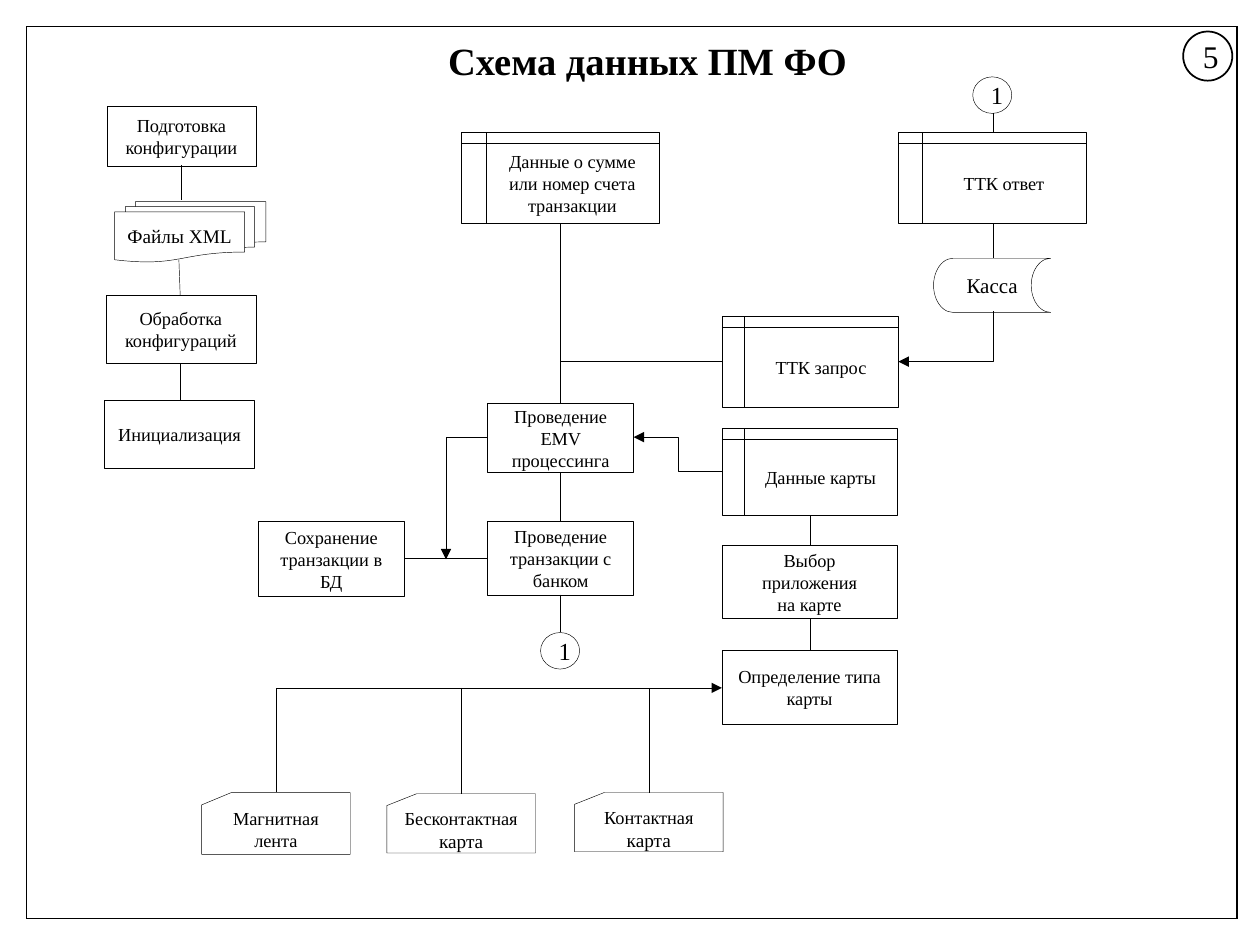
"""Build the payment module data flow slide."""
from lxml.etree import SubElement
from pptx import Presentation
from pptx.dml.color import RGBColor
from pptx.enum.shapes import MSO_CONNECTOR as Link, MSO_SHAPE as Shape
from pptx.enum.text import MSO_ANCHOR as Anchor, PP_ALIGN as Align
from pptx.oxml.ns import qn
from pptx.util import Inches, Pt

COLORS = {"ink": "000000", "paper": "FFFFFF"}
FONT = "Times New Roman"


def rgb(name):
    return RGBColor.from_string(COLORS[name])


def write_text(frame, text, size=10.5, bold=False, anchor=Anchor.MIDDLE,
               ending="", ending_size=11):
    frame.word_wrap = True
    frame.vertical_anchor = anchor
    for index, line in enumerate(text.split("\n")):
        paragraph = frame.add_paragraph() if index else frame.paragraphs[0]
        paragraph.alignment = Align.CENTER
        for words, points in ((line, size), (ending, ending_size)):
            if words:
                run = paragraph.add_run()
                run.text = words
                run.font.name, run.font.size = FONT, Pt(points)
                run.font.bold = bold
                run.font.color.rgb = rgb("ink")


class Diagram:
    def __init__(self, slide, thin=0.25, thick=1):
        self.slide, self.thin, self.thick = slide, thin, thick

    def title(self, text, box):
        heading = self.slide.shapes.title
        heading.left, heading.top, heading.width, heading.height = map(Inches, box)
        write_text(heading.text_frame, text, size=22, bold=True, anchor=Anchor.TOP)

    def node(self, kind, text, box, weight=None, **text_format):
        node = self.slide.shapes.add_shape(kind, *map(Inches, box))
        node.shadow.inherit = False
        node.fill.solid()
        node.fill.fore_color.rgb = rgb("paper")
        node.line.color.rgb = rgb("ink")
        node.line.width = Pt(weight or self.thin)
        write_text(node.text_frame, text, **text_format)

    def line(self, start, end, weight=None, kind=Link.STRAIGHT):
        line = self.slide.shapes.add_connector(kind, *map(Inches, (*start, *end)))
        line.line.color.rgb = rgb("ink")
        line.line.width = Pt(weight or self.thin)
        SubElement(line.element.spPr, qn("a:effectLst"))
        return line

    def arrow(self, start, end, corner=True, vertical_first=False):
        if vertical_first:
            mid_x, mid_y = (start[0] + end[0]) / 2, (start[1] + end[1]) / 2
            start, end = ((mid_x + y - mid_y, mid_y - x + mid_x)
                          for x, y in (start, end))
        properties = self.line(start, end, kind=Link.ELBOW).element.spPr
        if vertical_first:
            properties.find(qn("a:xfrm")).set("rot", "5400000")
        if corner:
            properties.find(qn("a:prstGeom")).set("prst", "bentConnector2")
        SubElement(properties.find(qn("a:ln")), qn("a:tailEnd"), type="triangle")


def main():
    deck = Presentation()
    deck.slide_width, deck.slide_height = Inches(10), Inches(7.5)
    diagram = Diagram(deck.slides.add_slide(deck.slide_layouts[5]))
    diagram.title("Схема данных ПМ ФО", (3.11, 0.24, 4.06, 0.84))

    left, top, right, bottom = 0.21, 0.21, 9.82, 7.29
    corners = [(left, top), (right, top), (right, bottom), (left, bottom)]
    for start, end in zip(corners, corners[1:] + corners[:1]):
        diagram.line(start, end, weight=diagram.thick)

    processes = [
        ("Подготовка конфигурации", (0.85, 0.84, 1.18, 0.48)),
        ("Обработка конфигураций", (0.84, 2.34, 1.19, 0.54)),
        ("Инициализация", (0.83, 3.18, 1.19, 0.54)),
        ("Проведение\nEMV процессинга", (3.87, 3.2, 1.16, 0.55)),
        ("Проведение транзакции с банком", (3.87, 4.14, 1.16, 0.58)),
        ("Сохранение транзакции в БД", (2.05, 4.14, 1.16, 0.59)),
        ("Выбор приложения\nна карте", (5.73, 4.33, 1.39, 0.58)),
        ("Определение типа карты", (5.73, 5.16, 1.39, 0.59)),
    ]
    for text, box in processes:
        diagram.node(Shape.FLOWCHART_PROCESS, text, box)

    stores = [
        ("Данные о сумме или номер счета транзакции", (3.66, 1.05, 1.57, 0.72)),
        ("ТТК ответ", (7.13, 1.05, 1.49, 0.72)),
        ("ТТК запрос", (5.73, 2.51, 1.4, 0.72)),
        ("Данные карты", (5.73, 3.4, 1.39, 0.69)),
    ]
    for text, box in stores:
        diagram.node(Shape.FLOWCHART_INTERNAL_STORAGE, text, box)

    cards = [
        ("Магнитная лента", "", (1.6, 6.29, 1.18, 0.49)),
        ("Бесконтактная", " карта", (3.07, 6.3, 1.18, 0.47)),
        ("Контактная", " карта", (4.56, 6.29, 1.18, 0.47)),
    ]
    for text, ending, box in cards:
        diagram.node(Shape.FLOWCHART_CARD, text, box, ending=ending)

    diagram.node(Shape.FLOWCHART_MULTIDOCUMENT, "Файлы XML",
                 (0.91, 1.6, 1.2, 0.48), size=11)
    diagram.node(Shape.FLOWCHART_STORED_DATA, "Касса",
                 (7.41, 2.05, 0.93, 0.43), size=12)
    for x, y in ((7.72, 0.61), (4.29, 5.02)):
        diagram.node(Shape.FLOWCHART_CONNECTOR, "1", (x, y, 0.31, 0.29), size=14)
    diagram.node(Shape.OVAL, "5", (9.39, 0.25, 0.39, 0.39),
                 weight=diagram.thick, size=18)

    diagram.arrow((2.19, 6.29), (5.73, 5.46), vertical_first=True)
    diagram.arrow((7.88, 2.47), (7.13, 2.87), vertical_first=True)
    diagram.arrow((3.87, 3.47), (3.54, 4.44))
    diagram.arrow((5.73, 3.74), (5.03, 3.47), corner=False)

    vertical_links = [
        (1.44, 1.31, 1.59), (1.43, 2.89, 3.18),
        (4.45, 1.78, 3.2), (4.45, 3.75, 4.14), (4.45, 4.72, 5.02),
        (7.88, 0.9, 1.05), (7.88, 1.78, 2.05),
        (6.43, 4.09, 4.33), (6.43, 4.91, 5.16),
        (3.66, 5.46, 6.3), (5.15, 5.46, 6.29),
    ]
    for x, upper, lower in vertical_links:
        diagram.line((x, upper), (x, lower))
    diagram.line((1.42, 2.06), (1.43, 2.34))
    diagram.line((5.73, 2.87), (4.45, 2.87))
    diagram.line((3.87, 4.43), (3.21, 4.43))

    deck.save("out.pptx")


if __name__ == "__main__":
    main()
